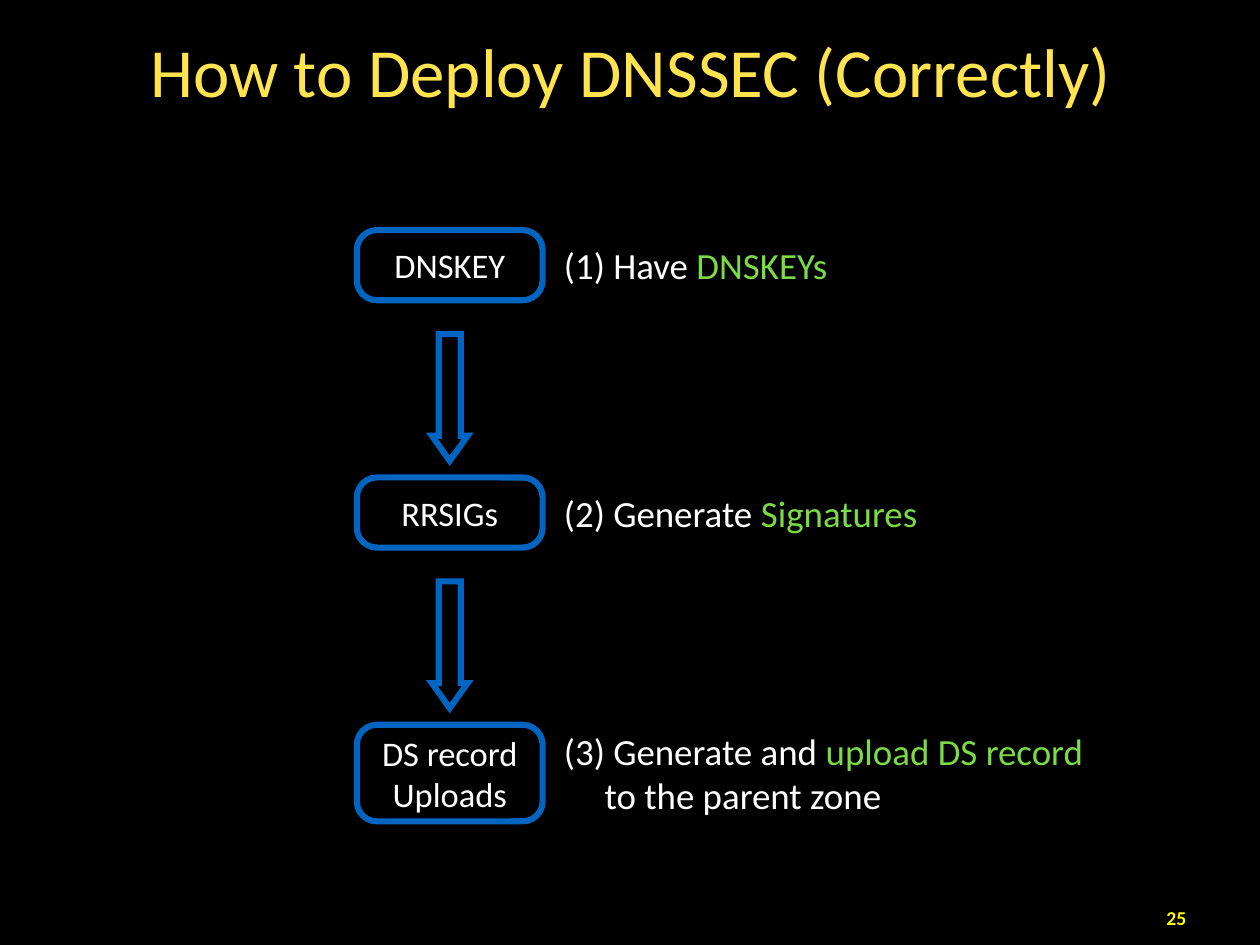
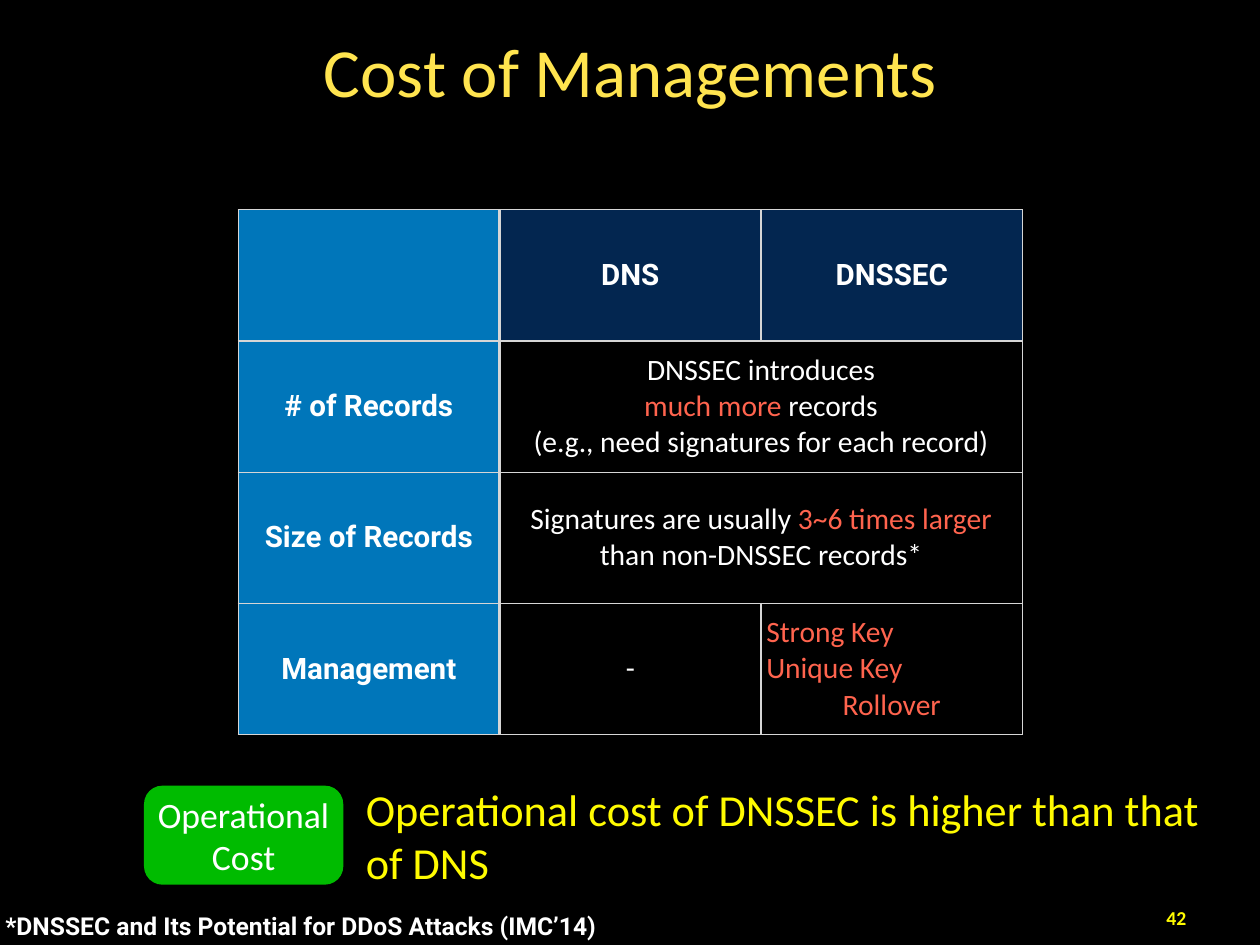
import pptx
import pptx.dml.color
import pptx.enum.shapes
import pptx.enum.text
import pptx.oxml.ns
import pptx.util
from lxml import etree

Pt = pptx.util.Pt
PRESETS = pptx.enum.shapes.MSO_SHAPE
ALIGN = pptx.enum.text.PP_ALIGN
MIDDLE = pptx.enum.text.MSO_ANCHOR.MIDDLE
TOP = pptx.enum.text.MSO_ANCHOR.TOP

WIDTH, HEIGHT = 1024, 768
BLACK, WHITE, YELLOW, GOLD = "000000", "FFFFFF", "FFFB00", "FFE44F"
GREEN, RED, BADGE = "7BDB45", "FF644E", "00BB00"
OUTLINE, HEADER, STUB, GRID = "0065C1", "032650", "0076BA", "D6D6D6"
BODY, STRONG = "Calibri", "Roboto"
INSET = 4.3


def rgb(code):
    """Turn a hex string into a colour."""
    return pptx.dml.color.RGBColor.from_string(code)


def write(frame, paragraphs, size, color=WHITE, face=BODY, bold=False, align=ALIGN.CENTER):
    """Fill a frame with paragraphs, each a string or a list of (text, colour) runs."""
    for index, content in enumerate(paragraphs):
        paragraph = frame.paragraphs[0] if index == 0 else frame.add_paragraph()
        paragraph.alignment = align
        font = paragraph.font
        font.size, font.name, font.bold = Pt(size), face, bold
        font.color.rgb = rgb(color)
        runs = [(content, color)] if isinstance(content, str) else content
        for text, run_color in runs:
            run = paragraph.add_run()
            run.text = text
            if run_color != color:
                run.font.color.rgb = rgb(run_color)


def prepare(frame, inset=INSET, anchor=MIDDLE):
    """Set the wrap, margins and anchor of a frame and return it."""
    frame.word_wrap = True
    frame.margin_left = frame.margin_right = Pt(inset)
    frame.margin_top = frame.margin_bottom = Pt(inset)
    frame.vertical_anchor = anchor
    return frame


def add_text(slide, box, paragraphs, size, inset=INSET, anchor=MIDDLE, **style):
    """Place a text box and return its frame."""
    frame = prepare(slide.shapes.add_textbox(*map(Pt, box)).text_frame, inset, anchor)
    write(frame, paragraphs, size, **style)
    return frame


def add_preset(slide, preset, box, fill=None, line=None):
    """Place a flat preset shape with an optional fill and outline."""
    shape = slide.shapes.add_shape(preset, *map(Pt, box))
    shape.shadow.inherit = False
    if fill:
        shape.fill.solid()
        shape.fill.fore_color.rgb = rgb(fill)
    else:
        shape.fill.background()
    if line:
        shape.line.color.rgb = rgb(line)
        shape.line.width = Pt(5)
        miter = etree.SubElement(shape.line._get_or_add_ln(), pptx.oxml.ns.qn("a:miter"))
        miter.set("lim", "800000")
    else:
        shape.line.fill.background()
    return shape


def add_rounded(slide, box, text, size, radius, **look):
    """Place a rounded box with a fixed corner radius and a centred label."""
    rounded = add_preset(slide, PRESETS.ROUNDED_RECTANGLE, box, **look)
    rounded.adjustments[0] = radius / box[3]
    write(prepare(rounded.text_frame), [text], size)


def add_page(deck, title, number):
    """Add a black slide with its title and page number."""
    slide = deck.slides.add_slide(deck.slide_layouts[6])
    slide.background.fill.solid()
    slide.background.fill.fore_color.rgb = rgb(BLACK)
    add_text(slide, (63, 0, 899, 114), [title], 56, inset=0, color=GOLD)
    add_text(slide, (936, 732, 40, 28), [number], 16, anchor=TOP, color=YELLOW, bold=True)
    return slide


def add_step(slide, box, name, explanation, has_arrow):
    """Place a step box, the explanation beside it and the arrow that leads to it."""
    left, top, width, height = box
    add_rounded(slide, box, name, 28, 16.2, line=OUTLINE)
    label = add_text(slide, (left + 164, top, 480, height), explanation, 30, align=ALIGN.LEFT)
    for continuation in label.paragraphs[1:]:
        continuation._p.get_or_add_pPr().set("marL", str(Pt(33)))
    if has_arrow:
        thickness, length = 29, 103
        arrow_box = (left + (width - thickness) / 2, top - 116.5, thickness, length)
        arrow = add_preset(slide, PRESETS.DOWN_ARROW, arrow_box, BLACK, OUTLINE)
        arrow.adjustments[0], arrow.adjustments[1] = 0.62, 0.7


def add_steps(slide, left, top):
    """Stack the deployment steps at an equal pitch."""
    steps = [
        ("DNSKEY", 57, [[("(1) Have ", WHITE), ("DNSKEYs", GREEN)]]),
        ("RRSIGs", 57, [[("(2) Generate ", WHITE), ("Signatures", GREEN)]]),
        ("DS record Uploads", 78.5,
         [[("(3) Generate and ", WHITE), ("upload DS record", GREEN)], "to the parent zone"]),
    ]
    for index, (name, height, explanation) in enumerate(steps):
        add_step(slide, (left, top + 201 * index, 151, height), name, explanation, index > 0)


def style_cell(cell, fill, right, bottom):
    """Draw the grid lines of a cell and set its fill."""
    properties = cell._tc.get_or_add_tcPr()
    for side, width in (("L", 1), ("R", right), ("T", 1), ("B", bottom)):
        edge = etree.SubElement(properties, pptx.oxml.ns.qn("a:ln" + side), w=str(Pt(width)))
        paint = etree.SubElement(edge, pptx.oxml.ns.qn("a:solidFill"))
        etree.SubElement(paint, pptx.oxml.ns.qn("a:srgbClr"), val=GRID)
    if fill:
        cell.fill.solid()
        cell.fill.fore_color.rgb = rgb(fill)
    else:
        cell.fill.background()
    cell.margin_left = cell.margin_right = Pt(INSET)
    cell.margin_top = cell.margin_bottom = Pt(INSET)
    cell.vertical_anchor = MIDDLE


def add_comparison(slide, box):
    """Place the table that compares DNS with DNSSEC."""
    rows = [
        [None, ["DNS"], ["DNSSEC"]],
        [["# of Records"],
         ["DNSSEC introduces", [("much more", RED), (" records", WHITE)],
          "(e.g., need signatures for each record)"], None],
        [["Size of Records"],
         [[("Signatures are usually ", WHITE), ("3~6 times larger", RED),
           (" than non-DNSSEC records*", WHITE)]], None],
        [["Management"], ["-"],
         [[(line, RED)] for line in ("Strong Key", "Unique Key", "Rollover")]],
    ]
    table = slide.shapes.add_table(len(rows), 3, *map(Pt, box)).table
    table.first_row = table.horz_banding = False
    for r, row in enumerate(rows):
        for c, content in enumerate(row):
            cell = table.cell(r, c)
            heading = r == 0 or c == 0
            fill = STUB if c == 0 else HEADER if r == 0 else None
            style_cell(cell, fill, 2 if c == 0 else 1, 2 if r == 0 else 1)
            if content:
                write(cell.text_frame, content, 24, face=STRONG if heading else BODY, bold=heading)
            elif c:
                table.cell(r, c - 1).merge(cell)
    for key_rule in table.cell(3, 2).text_frame.paragraphs[:2]:
        key_rule.alignment = ALIGN.LEFT


def add_conclusion(slide, box):
    """Place the green badge and the conclusion beside it."""
    left, top, width, height = box
    add_rounded(slide, (left, top, 162, height), "Operational Cost", 29, 15, fill=BADGE)
    add_text(slide, (left + 176, top, width - 176, height),
             ["Operational cost of DNSSEC is higher than that of DNS"], 36,
             color=YELLOW, align=ALIGN.LEFT)


def main():
    """Build and save both slides."""
    deck = pptx.Presentation()
    deck.slide_width, deck.slide_height = Pt(WIDTH), Pt(HEIGHT)

    deployment = add_page(deck, "How to Deploy DNSSEC (Correctly)", "25")
    add_steps(deployment, 290, 187)

    cost = add_page(deck, "Cost of Managements", "42")
    add_comparison(cost, (193.5, 170.5, 637.5, 426.5))
    add_conclusion(cost, (117, 638.5, 872, 80.5))
    add_text(cost, (0, 736, 516, 32), ["*DNSSEC and Its Potential for DDoS Attacks (IMC’14)"], 20,
             face=STRONG, bold=True, align=ALIGN.LEFT)
    deck.save("out.pptx")


if __name__ == "__main__":
    main()
